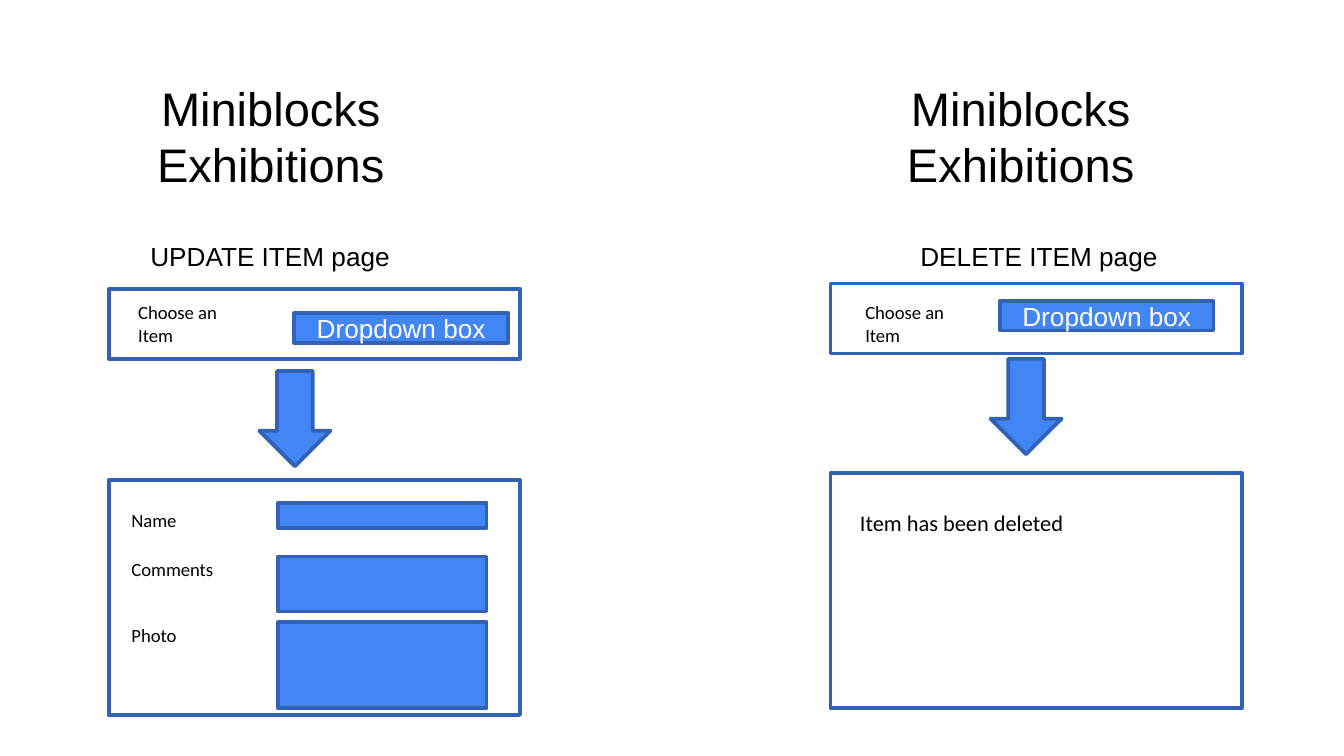
from dataclasses import dataclass

from pptx import Presentation
from pptx.dml.color import RGBColor
from pptx.enum.shapes import MSO_SHAPE
from pptx.enum.text import MSO_ANCHOR, PP_ALIGN
from pptx.util import Inches, Pt

COLOURS = {
    "paper": "FFFFFF",
    "field": "4285F4",
    "outline": "3162B5",
    "ink": "000000",
}
SLIDE_WIDTH = 10
FRAME_WIDTH = 3.06
FIELD_LEFT, FIELD_WIDTH = 2.07, 1.55
LABEL_LEFT = 0.88


@dataclass(frozen=True)
class Box:
    left: float
    top: float
    width: float
    height: float

    def lengths(self) -> tuple:
        return tuple(Inches(value) for value in (self.left, self.top, self.width, self.height))


@dataclass(frozen=True)
class Page:
    heading: str
    title_left: float
    heading_box: Box
    frame_left: float
    chooser_top: float
    prompt_left: float
    dropdown_left: float
    dropdown_top: float
    arrow_left: float
    arrow_top: float
    result_top: float


@dataclass(frozen=True)
class FormRow:
    label: str
    label_top: float
    label_width: float
    field_top: float
    field_height: float


PAGES = [
    Page("UPDATE ITEM page", 1.05, Box(1.02, 1.74, 2.33, 0.34), 0.81, 2.15, 0.93,
         2.19, 2.33, 1.93, 2.76, 3.57),
    Page("DELETE ITEM page", 6.63, Box(6.75, 1.74, 2.54, 0.34), 6.18, 2.11, 6.34,
         7.44, 2.24, 7.37, 2.67, 3.52),
]
FORM_ROWS = [
    FormRow("Name", 3.74, 1.14, 3.74, 0.19),
    FormRow("Comments", 4.1, 0.84, 4.14, 0.41),
    FormRow("Photo", 4.59, 1.14, 4.63, 0.64),
]


def colour(name: str) -> RGBColor:
    return RGBColor.from_string(COLOURS[name])


def write_text(shape, text: str, *, size: float, font: str = "Arial", ink: str = "ink",
               align=PP_ALIGN.LEFT, anchor=MSO_ANCHOR.TOP,
               vertical_inset: float = 0.05) -> None:
    frame = shape.text_frame
    frame.word_wrap = True
    frame.vertical_anchor = anchor
    frame.margin_top = frame.margin_bottom = Inches(vertical_inset)
    frame.text = text
    for paragraph in frame.paragraphs:
        paragraph.alignment = align
        for run in paragraph.runs:
            run.font.size = Pt(size)
            run.font.name = font
            run.font.color.rgb = colour(ink)


def add_text(slide, box: Box, text: str, **text_format) -> None:
    write_text(slide.shapes.add_textbox(*box.lengths()), text, **text_format)


def add_block(slide, box: Box, fill: str = "field", preset=MSO_SHAPE.RECTANGLE):
    shape = slide.shapes.add_shape(preset, *box.lengths())
    shape.shadow.inherit = False
    shape.fill.solid()
    shape.fill.fore_color.rgb = colour(fill)
    shape.line.color.rgb = colour("outline")
    shape.line.width = Pt(2)
    return shape


def add_page(slide, page: Page) -> None:
    add_text(slide, Box(page.title_left, 0.49, 1.93, 1), "Miniblocks Exhibitions",
             size=25.2, align=PP_ALIGN.CENTER, vertical_inset=0.1)
    add_text(slide, page.heading_box, page.heading, size=14)
    add_block(slide, Box(page.frame_left, page.chooser_top, FRAME_WIDTH, 0.52), "paper")
    dropdown = add_block(slide, Box(page.dropdown_left, page.dropdown_top, 1.59, 0.22))
    write_text(dropdown, "Dropdown box", size=14, ink="paper",
               align=PP_ALIGN.CENTER, anchor=MSO_ANCHOR.MIDDLE)
    add_text(slide, Box(page.prompt_left, 2.19, 1.14, 0.44), "Choose an\nItem",
             size=10, font="Calibri")
    add_block(slide, Box(page.arrow_left, page.arrow_top, 0.53, 0.71),
              preset=MSO_SHAPE.DOWN_ARROW)
    add_block(slide, Box(page.frame_left, page.result_top, FRAME_WIDTH, 1.75), "paper")


def add_form_row(slide, row: FormRow) -> None:
    add_block(slide, Box(FIELD_LEFT, row.field_top, FIELD_WIDTH, row.field_height))
    add_text(slide, Box(LABEL_LEFT, row.label_top, row.label_width, 0.27), row.label,
             size=10, font="Calibri")


def main() -> None:
    presentation = Presentation()
    presentation.slide_width = Inches(SLIDE_WIDTH)
    presentation.slide_height = Inches(SLIDE_WIDTH * 9 / 16)
    slide = presentation.slides.add_slide(presentation.slide_layouts[6])
    for page in PAGES:
        add_page(slide, page)
    for row in FORM_ROWS:
        add_form_row(slide, row)
    add_text(slide, Box(6.3, 3.74, 2.82, 0.3), "Item has been deleted",
             size=12, font="Calibri")
    presentation.save("out.pptx")


if __name__ == "__main__":
    main()
